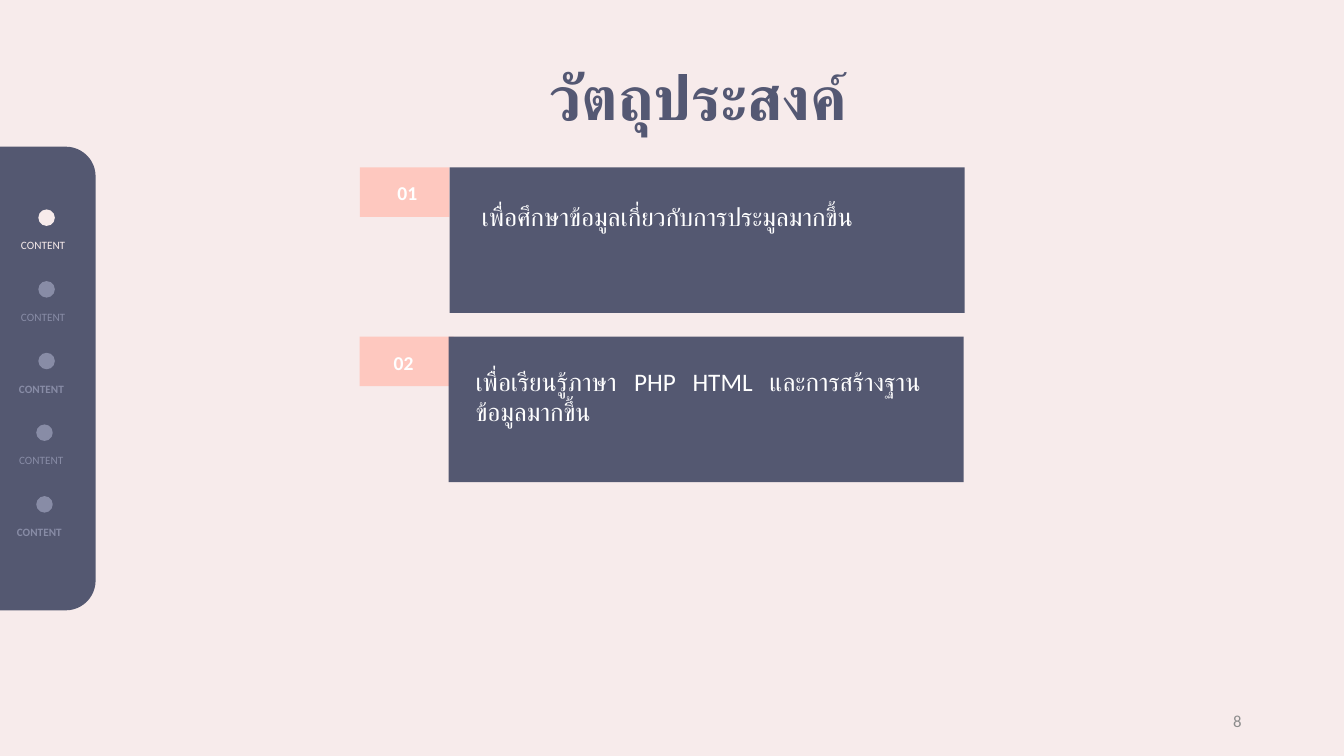
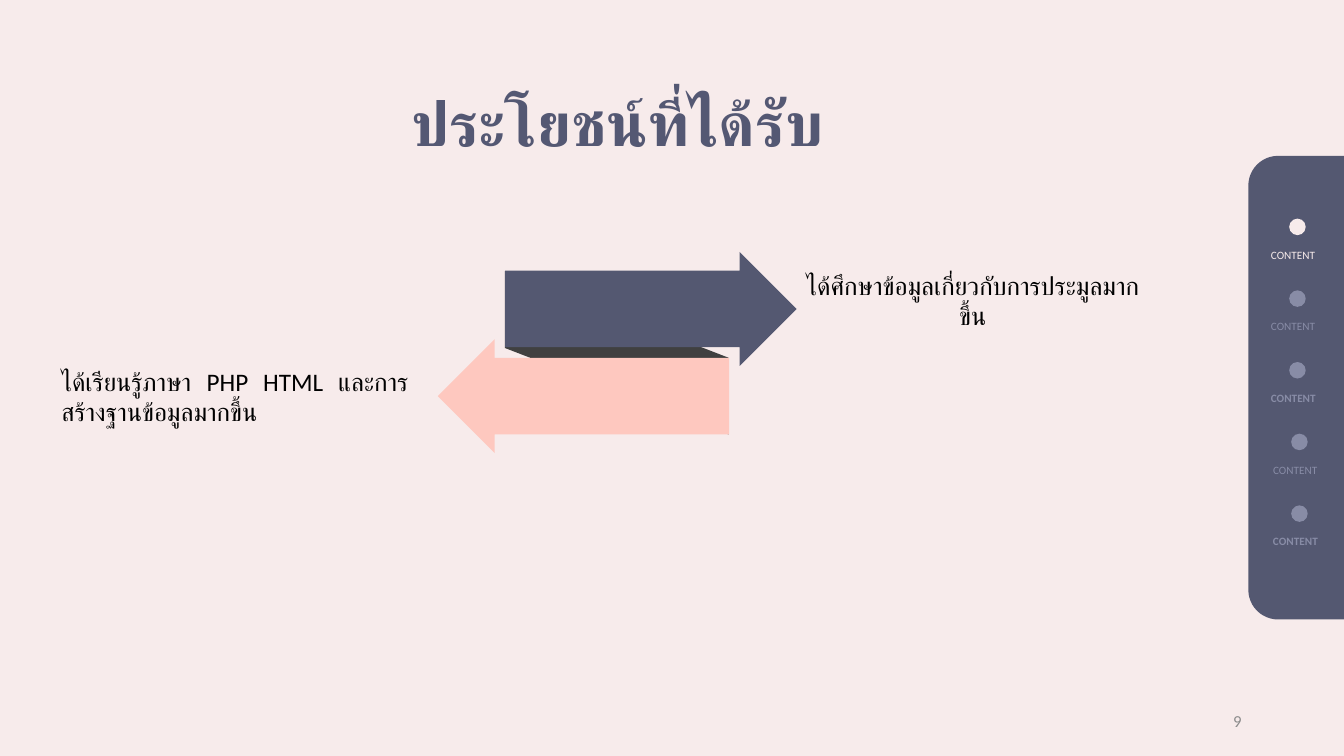
from pptx import Presentation
from pptx.dml.color import RGBColor
from pptx.enum.shapes import MSO_SHAPE
from pptx.enum.text import MSO_ANCHOR, MSO_AUTO_SIZE, PP_ALIGN
from pptx.util import Pt

RECT, OVAL, PANEL = MSO_SHAPE.RECTANGLE, MSO_SHAPE.OVAL, MSO_SHAPE.ROUND_2_SAME_RECTANGLE
ARROW, FOLD = MSO_SHAPE.RIGHT_ARROW, MSO_SHAPE.PARALLELOGRAM
LEFT, CENTER, RIGHT, JUSTIFY = PP_ALIGN.LEFT, PP_ALIGN.CENTER, PP_ALIGN.RIGHT, PP_ALIGN.JUSTIFY
TOP, MIDDLE = MSO_ANCHOR.TOP, MSO_ANCHOR.MIDDLE
GROW, FIXED = MSO_AUTO_SIZE.SHAPE_TO_FIT_TEXT, MSO_AUTO_SIZE.NONE

BLUSH = RGBColor(0xF7, 0xEB, 0xEB)
SLATE = RGBColor(0x54, 0x58, 0x71)
TITLE_SLATE = RGBColor(0x54, 0x58, 0x73)
MUTED = RGBColor(0x88, 0x8C, 0xA6)
PEACH = RGBColor(0xFE, 0xC8, 0xBF)
CHARCOAL = RGBColor(0x40, 0x40, 0x40)
GRAY = RGBColor(0x8C, 0x8C, 0x8C)
WHITE = RGBColor(0xFF, 0xFF, 0xFF)
BLACK = RGBColor(0, 0, 0)

FONT = "Calibri"
TITLE_FONT = {"size": Pt(44), "bold": True, "color": TITLE_SLATE}
NUMBER_FONT = {"size": Pt(14), "bold": True, "color": WHITE}
CARD_FONT = {"size": Pt(18), "color": WHITE}
NOTE_FONT = {"size": Pt(18), "color": BLACK}
PAGE_FONT = {"size": Pt(12), "color": GRAY}

# Sidebar: one (label, bold) pair per step; the first step is the active one
STEPS = [("CONTENT", False), ("CONTENT", False), ("CONTENT", True),
         ("CONTENT", False), ("CONTENT", True)]
STEP_GAP, DOT, LABEL_DROP = 51.2, 11.8, 17.4
PANEL_LENGTH, PANEL_WIDTH = 331.2, 68.6
SIDEBARS = {
    "left": {"panel": (-131.6, 236.1), "rotation": 90, "first_dot": 149.6,
             "dots": [27.4, 27.4, 27.4, 25.9, 25.9],
             "labels": [7.9, 7.9, 6.5, 6.5, 5]},
    "right": {"panel": (760.4, 242.6), "rotation": 270, "first_dot": 156.2,
              "dots": [920.9, 920.9, 920.9, 922.3, 922.3],
              "labels": [900.7, 900.7, 900.7, 902.2, 902.2]},
}

# Boxes are (left, top, width, height)
OBJECTIVES = {
    "title": "วัตถุประสงค์", "title_at": (88.6, 38.2), "page": "8", "side": "left",
    "cards": [
        {"number": "01", "number_box": (265, 126, 51.8, 24.2),
         "badge": (257, 119.6, 64.1, 35.4), "card": (321.1, 119.6, 368, 104),
         "text": "เพื่อศึกษาข้อมูลเกี่ยวกับการประมูลมากขึ้น",
         "text_box": (337, 140.4, 345.6, 50.9)},
        {"number": "02", "number_box": (257, 247, 62.6, 24.2),
         "badge": (257, 240.4, 67, 35.4), "card": (320.4, 240.4, 368, 104),
         "text": "เพื่อเรียนรู้ภาษา PHP HTML และการสร้างฐานข้อมูลมากขึ้น",
         "text_box": (332.6, 257.8, 332, 50.9)},
    ],
}
BENEFITS = {
    "title": "ประโยชน์ที่ได้รับ", "title_at": (31, 56.9), "page": "9", "side": "right",
    "fold": (382.2, 172.1, 116.6, 159.8),
    "arrows": [
        {"box": (360.8, 180, 208.2, 81.4), "rotation": 0, "fill": SLATE,
         "text": "ได้ศึกษาข้อมูลเกี่ยวกับการประมูลมากขึ้น",
         "text_box": (563.8, 189.4, 262, 50.9), "align": CENTER},
        {"box": (312.7, 242.2, 208.2, 81.4), "rotation": 180, "fill": PEACH,
         "text": "ได้เรียนรู้ภาษา PHP HTML และการสร้างฐานข้อมูลมากขึ้น",
         "text_box": (36.7, 257.8, 262, 50.9), "align": JUSTIFY},
    ],
}


def set_text(sp, text, font, align=LEFT, anchor=TOP, fit=GROW, wrap=True):
    tf = sp.text_frame
    tf.text = text
    tf.word_wrap, tf.auto_size, tf.vertical_anchor = wrap, fit, anchor
    p = tf.paragraphs[0]
    p.alignment = align
    f = p.runs[0].font
    f.name = FONT
    for name, value in font.items():
        if name == "color":
            f.color.rgb = value
        else:
            setattr(f, name, value)


def add_text(s, box, text, font, **layout):
    set_text(s.shapes.add_textbox(*map(Pt, box)), text, font, **layout)


def add_filled(s, kind, box, fill, rotation=0, adjust=()):
    sp = s.shapes.add_shape(kind, *map(Pt, box))
    sp.shadow.inherit = False
    sp.fill.solid()
    sp.fill.fore_color.rgb = fill
    sp.line.fill.background()
    sp.rotation = rotation
    for i, value in enumerate(adjust):
        sp.adjustments[i] = value


def add_sidebar(s, side):
    bar = SIDEBARS[side]
    add_filled(s, PANEL, (*bar["panel"], PANEL_LENGTH, PANEL_WIDTH), SLATE,
               bar["rotation"], (0.31, 0))
    for i, (label, bold) in enumerate(STEPS):
        color = MUTED if i else BLUSH
        top = bar["first_dot"] + i * STEP_GAP
        add_filled(s, OVAL, (bar["dots"][i], top, DOT, DOT), color)
        add_text(s, (bar["labels"][i], top + LABEL_DROP, 52.6 if bold else 51.1, 17),
                 label, {"size": Pt(8), "bold": bold, "color": color}, wrap=False)


def add_slide(prs, content):
    """Add a slide with the shared title, sidebar and page number."""
    s = prs.slides.add_slide(prs.slide_layouts[5])
    title = s.shapes.title
    title.left, title.top, title.width, title.height = map(
        Pt, (*content["title_at"], 820, 60.6))
    set_text(title, content["title"], TITLE_FONT, align=CENTER)
    add_sidebar(s, content["side"])
    add_text(s, (678, 500.5, 216, 28.8), content["page"], PAGE_FONT,
             align=RIGHT, anchor=MIDDLE, fit=FIXED)
    return s


def add_objectives(prs):
    s = add_slide(prs, OBJECTIVES)
    for card in OBJECTIVES["cards"]:
        add_filled(s, RECT, card["badge"], PEACH)
        add_filled(s, RECT, card["card"], SLATE)
        add_text(s, card["text_box"], card["text"], CARD_FONT, align=JUSTIFY)
        add_text(s, card["number_box"], card["number"], NUMBER_FONT,
                 align=CENTER, wrap=False)


def add_benefits(prs):
    s = add_slide(prs, BENEFITS)
    add_filled(s, FOLD, BENEFITS["fold"], CHARCOAL, 270, (0.53,))
    for arrow in BENEFITS["arrows"]:
        add_filled(s, ARROW, arrow["box"], arrow["fill"], arrow["rotation"], (0.67, 0.5))
        add_text(s, arrow["text_box"], arrow["text"], NOTE_FONT, align=arrow["align"])


def main():
    prs = Presentation()
    prs.slide_width, prs.slide_height = Pt(960), Pt(540)
    background = prs.slide_master.background.fill
    background.solid()
    background.fore_color.rgb = BLUSH
    add_objectives(prs)
    add_benefits(prs)
    prs.save("out.pptx")


if __name__ == "__main__":
    main()
